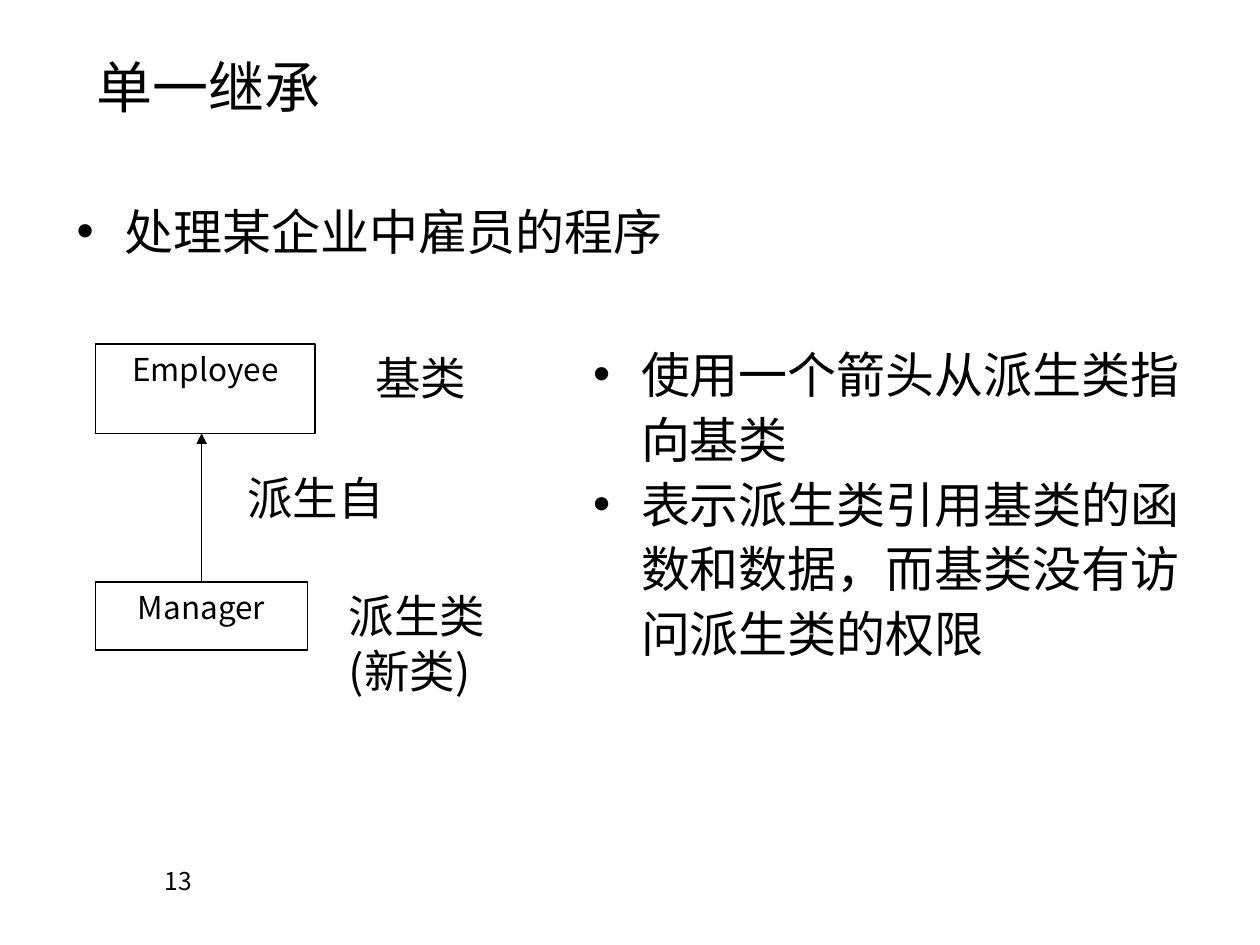
from dataclasses import dataclass
from typing import Optional

from lxml import etree
from pptx import Presentation
from pptx import util as u
from pptx.dml.color import RGBColor
from pptx.enum import shapes, text
from pptx.oxml.ns import qn

WIDTH, HEIGHT = 10, 7.5
BLACK = RGBColor(0, 0, 0)
FONT = "Noto Sans CJK SC"
LINE_WIDTH = u.Pt(0.75)
LEFT, CENTER, RIGHT = text.PP_ALIGN.LEFT, text.PP_ALIGN.CENTER, text.PP_ALIGN.RIGHT

# Diagram grid: one column for the class boxes, one row per class
CLASS_LEFT = 0.76
BASE_ROW, DERIVED_ROW = 2.73, 4.62
ROW_HEIGHT = 0.71
ARROW_X = 1.6


@dataclass
class Block:
    left: float
    top: float
    width: float
    height: float
    lines: tuple[str, ...]
    size: int
    align: text.PP_ALIGN = LEFT
    anchor: text.MSO_ANCHOR = text.MSO_ANCHOR.TOP
    bullet: bool = False
    spacing: Optional[float] = None
    outlined: bool = False


BLOCKS = (
    # Title, lead bullet and page number
    Block(0.67, 0.21, 8.58, 0.94, ("单一继承",), 32, anchor=text.MSO_ANCHOR.MIDDLE),
    Block(0.51, 1.55, 8.82, 5.2, ("处理某企业中雇员的程序",), 28, bullet=True),
    Block(0.2, 6.82, 1.42, 0.52, ("13",), 14, RIGHT),
    # Class boxes
    Block(CLASS_LEFT, BASE_ROW, 1.74, ROW_HEIGHT, ("Employee",), 18, CENTER, outlined=True),
    Block(CLASS_LEFT, DERIVED_ROW, 1.68, 0.54, ("Manager",), 18, CENTER, outlined=True),
    # Diagram labels
    Block(2.88, BASE_ROW, 1.09, ROW_HEIGHT, ("基类",), 26),
    Block(2.67, DERIVED_ROW, 1.51, ROW_HEIGHT, ("派生类", "(新类)"), 26),
    Block(1.68, 3.68, 1.65, ROW_HEIGHT, ("派生自",), 26, CENTER),
    # Explanation
    Block(4.61, 2.64, 5.13, 3.5,
          ("使用一个箭头从派生类指向基类",
           "表示派生类引用基类的函数和数据，而基类没有访问派生类的权限"),
          28, bullet=True, spacing=1.1),
)


def add_bullet(paragraph) -> None:
    properties = paragraph._p.get_or_add_pPr()
    indent = u.Inches(0.38)
    properties.set("marL", str(indent))
    properties.set("indent", str(-indent))
    etree.SubElement(properties, qn("a:buFont")).set("typeface", "Arial")
    etree.SubElement(properties, qn("a:buChar")).set("char", "•")


def add_run(paragraph, wording: str, size: int) -> None:
    run = paragraph.add_run()
    run.text = wording
    run.font.size = u.Pt(size)
    run.font.color.rgb = BLACK
    run.font.name = FONT
    etree.SubElement(run._r.get_or_add_rPr(), qn("a:ea")).set("typeface", FONT)


def add_block(slide, block: Block) -> None:
    frame = [u.Inches(n) for n in (block.left, block.top, block.width, block.height)]
    if block.outlined:
        shape = slide.shapes.add_shape(shapes.MSO_SHAPE.RECTANGLE, *frame)
        shape.shadow.inherit = False
        shape.fill.background()
        shape.line.color.rgb = BLACK
        shape.line.width = LINE_WIDTH
    else:
        shape = slide.shapes.add_textbox(*frame)
    body = shape.text_frame
    body.word_wrap = True
    body.vertical_anchor = block.anchor
    for index, line in enumerate(block.lines):
        paragraph = body.add_paragraph() if index else body.paragraphs[0]
        if block.bullet:
            add_bullet(paragraph)
        paragraph.alignment = block.align
        if block.spacing:
            paragraph.line_spacing = block.spacing
        add_run(paragraph, line, block.size)


def add_arrow(slide, x: float, start: float, end: float) -> None:
    arrow = slide.shapes.add_connector(
        shapes.MSO_CONNECTOR.STRAIGHT,
        u.Inches(x), u.Inches(start), u.Inches(x), u.Inches(end))
    arrow.line.color.rgb = BLACK
    arrow.line.width = LINE_WIDTH
    etree.SubElement(arrow.line._get_or_add_ln(), qn("a:tailEnd")).set("type", "triangle")
    etree.SubElement(arrow._element.spPr, qn("a:effectLst"))


def main() -> None:
    presentation = Presentation()
    presentation.slide_width = u.Inches(WIDTH)
    presentation.slide_height = u.Inches(HEIGHT)
    slide = presentation.slides.add_slide(presentation.slide_layouts[6])
    for block in BLOCKS:
        add_block(slide, block)
    # Inheritance arrow, from the derived class up to the base class
    add_arrow(slide, ARROW_X, DERIVED_ROW, BASE_ROW + ROW_HEIGHT)
    presentation.save("out.pptx")


if __name__ == "__main__":
    main()
